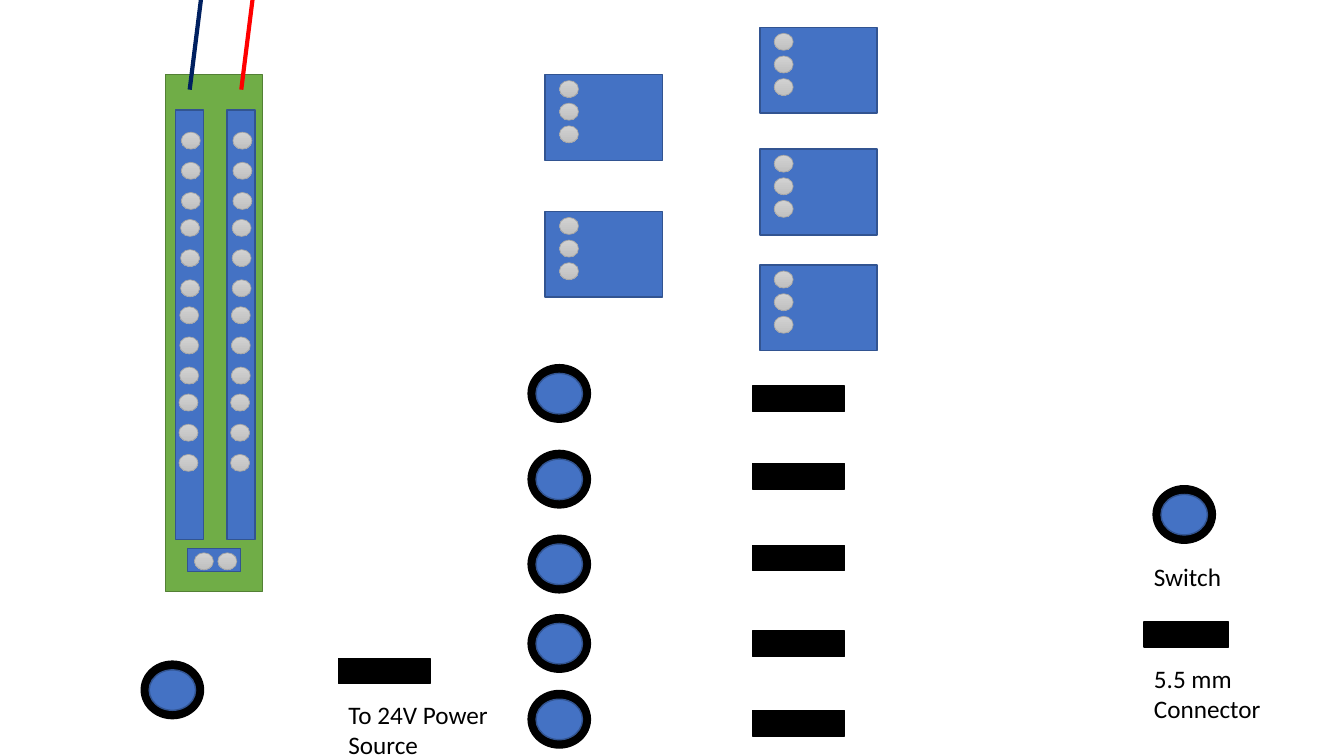
from collections import namedtuple
from pptx import Presentation
from pptx.dml.color import RGBColor as RGB
from pptx.enum.shapes import MSO_CONNECTOR as Conn, MSO_SHAPE as Geo
from pptx.enum.text import MSO_AUTO_SIZE as Fit
from pptx.oxml import parse_xml
from pptx.oxml.ns import nsdecls
from pptx.util import Cm, Pt

Theme = namedtuple("Theme", "blue navy green moss black red wire pin font size edge thin thick")
theme = Theme(
    blue="4472C4", navy="325491", green="70AD47", moss="538035",
    black="000000", red="FF0000", wire="002060", pin=("D2D2D2", "C0C0C0", "A5A5A5"),
    font="Calibri", size=18, edge=1, thin=0.5, thick=3,
)


def apply(item, form):
    for name, value in form.items():
        setattr(item, name, value)


def stroke(item, tint, width):
    item.line.color.rgb = RGB.from_string(tint)
    item.line.width = Pt(width)


def shape(host, geo, box, tint, rim, width=theme.edge):
    item = host.shapes.add_shape(geo, *map(Cm, box))
    item.shadow.inherit = False
    if tint:
        item.fill.solid()
        item.fill.fore_color.rgb = RGB.from_string(tint)
    stroke(item, rim, width)
    return item


def pin(host, x, y):
    light, dark, rim = theme.pin
    item = shape(host, Geo.OVAL, (x, y, 0.48, 0.43), None, rim, theme.thin)
    item.fill.gradient()
    item.fill.gradient_angle = 270
    for stop, tint in zip(item.fill.gradient_stops, (light, dark)):
        stop.color.rgb = RGB.from_string(tint)


def wire(host, x, tint):
    item = host.shapes.add_connector(Conn.STRAIGHT, Cm(x), Cm(2.26), Cm(x + 0.33), Cm(-0.38))
    stroke(item, tint, theme.thick)
    item._element.spPr.append(parse_xml(f"<a:effectLst {nsdecls('a')}/>"))


def module(slide, x, y):
    group = slide.shapes.add_group_shape()
    shape(group, Geo.RECTANGLE, (x, y, 2.95, 2.16), theme.blue, theme.navy)
    for row in range(3):
        pin(group, x + 0.36, y + 0.15 + 0.57 * row)


def board(slide):
    group = slide.shapes.add_group_shape()
    shape(group, Geo.RECTANGLE, (4.17, 1.88, 2.44, 13.03), theme.green, theme.moss)
    shape(group, Geo.RECTANGLE, (4.72, 13.82, 1.35, 0.58), theme.blue, theme.navy)
    for shift, tint in ((0, theme.wire), (1.3, theme.red)):
        shape(group, Geo.RECTANGLE, (4.42 + shift, 2.77, 0.71, 10.82), theme.blue, theme.navy)
        wire(group, 4.78 + shift, tint)
        for row in range(12):
            block, step = divmod(row, 3)
            pin(group, 4.57 - 0.02 * block + shift, 3.33 + 2.2 * block + 0.76 * step)
    for x in (4.9, 5.49):
        pin(group, x, 13.93)


def button(host, x, y):
    group = host.shapes.add_group_shape()
    shape(group, Geo.OVAL, (x, y, 1.57, 1.45), theme.black, theme.black)
    shape(group, Geo.OVAL, (x + 0.2, y + 0.22, 1.17, 1.02), theme.blue, theme.navy)


def plug(host, x, y, width=2.31):
    shape(host, Geo.RECTANGLE, (x, y, width, 0.64), theme.black, theme.black)


def label(host, text, box):
    frame = host.shapes.add_textbox(*map(Cm, box)).text_frame
    apply(frame, {"word_wrap": True, "auto_size": Fit.SHAPE_TO_FIT_TEXT, "text": text})
    font = frame.paragraphs[0].runs[0].font
    apply(font, {"name": theme.font, "size": Pt(theme.size)})
    font.color.rgb = RGB.from_string(theme.black)


def main():
    deck = Presentation()
    apply(deck, {"slide_width": Cm(33.87), "slide_height": Cm(19.05)})
    slide = deck.slides.add_slide(deck.slide_layouts[6])

    for x, tops in ((19.15, (0.69, 3.76, 6.68)), (13.74, (1.88, 5.33))):
        for y in tops:
            module(slide, x, y)
    board(slide)

    button(slide, 29.06, 12.24)
    label(slide, "Switch", (28.83, 14.02, 3.58, 1.02))
    plug(slide, 28.83, 15.67, 2.13)
    label(slide, "5.5 mm Connector", (28.83, 16.59, 3.58, 1.8))

    button(slide, 3.56, 16.66)
    plug(slide, 8.53, 16.59)
    label(slide, "To 24V Power Source", (8.53, 17.5, 5.23, 2.57))

    for y in (9.19, 11.35, 13.49, 15.49, 17.4):
        button(slide, 13.31, y)
    for y in (9.73, 11.68, 13.74, 15.9, 17.91):
        plug(slide, 18.97, y)

    deck.save("out.pptx")


if __name__ == "__main__":
    main()
